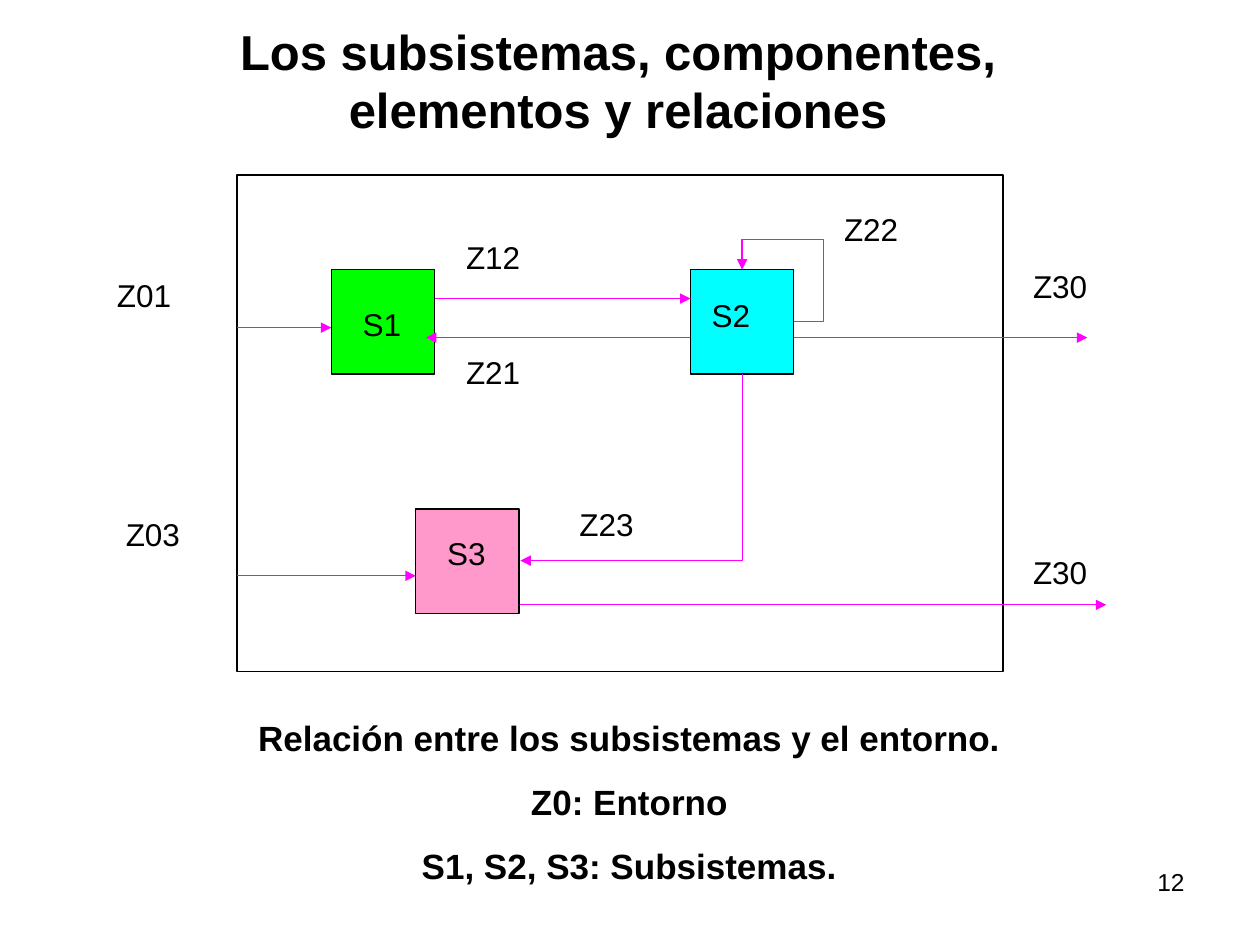
"""Builds a slide on subsystems, their relations and their environment."""
import pptx
import pptx.util
import pptx.dml.color
import pptx.enum.shapes
import pptx.enum.text
import pptx.oxml.ns
import lxml.etree

Inches, Pt = pptx.util.Inches, pptx.util.Pt
RGB = pptx.dml.color.RGBColor
KIND = pptx.enum.shapes.MSO_CONNECTOR
ALIGN = pptx.enum.text.PP_ALIGN

BLACK, WHITE = RGB(0, 0, 0), RGB(255, 255, 255)
GREEN, CYAN = RGB(0, 255, 0), RGB(0, 255, 255)
PINK, MAGENTA = RGB(255, 153, 204), RGB(255, 0, 255)

TITLE = "Los subsistemas, componentes, elementos y relaciones"
CAPTION = [
    "Relación entre los subsistemas y el entorno.",
    "Z0: Entorno",
    "S1, S2, S3: Subsistemas.",
]
FRAME = (1.88, 1.39, 6.08, 3.94)
SIZE = (0.82, 0.83)
NODES = {
    "S1": (2.63, 2.14, GREEN),
    "S2": (5.48, 2.14, CYAN),
    "S3": (3.3, 4.04, PINK),
}
FLOWS = [
    (5.48, 3.38, 2.68),
    (3.45, 5.48, 2.37),
    (6.3, 8.63, 2.68),
    (1.88, 2.63, 2.6),
    (1.88, 3.3, 4.57),
    (4.13, 8.78, 4.8),
]
LABELS = [
    ("Z01", 0.83, 2.14), ("Z03", 0.9, 4.04), ("Z12", 3.6, 1.84),
    ("Z21", 3.6, 2.75), ("Z23", 4.5, 3.96), ("Z22", 6.6, 1.62),
    ("Z30", 8.1, 2.07), ("Z30", 8.1, 4.34), ("S1", 2.78, 2.37),
    ("S2", 5.55, 2.3), ("S3", 3.45, 4.19),
]

deck = pptx.Presentation()
deck.slide_width, deck.slide_height = Inches(10), Inches(7.5)
slide = deck.slides.add_slide(deck.slide_layouts[5])
shapes = slide.shapes


def write(frame, lines, size, bold=False, align=ALIGN.LEFT, gap=0):
    frame.word_wrap = True
    for i, line in enumerate(lines):
        para = frame.add_paragraph() if i else frame.paragraphs[0]
        para.alignment, para.space_before = align, Pt(gap)
        run = para.add_run()
        run.text = line
        font = run.font
        font.name, font.size, font.bold = "Arial", Pt(size), bold
        font.color.rgb = BLACK


def text(box, lines, size, **style):
    area = shapes.add_textbox(*map(Inches, box))
    write(area.text_frame, lines, size, **style)


def block(box, fill):
    rect = shapes.add_shape(
        pptx.enum.shapes.MSO_SHAPE.RECTANGLE, *map(Inches, box))
    rect.shadow.inherit = False
    rect.fill.solid()
    rect.fill.fore_color.rgb = fill
    rect.line.color.rgb, rect.line.width = BLACK, Pt(0.75)
    return rect


def arrow(kind, *ends):
    link = shapes.add_connector(kind, *map(Inches, ends))
    link.line.color.rgb, link.line.width = MAGENTA, Pt(0.75)
    qn = pptx.oxml.ns.qn
    tip = lxml.etree.SubElement(link.line._get_or_add_ln(), qn("a:tailEnd"))
    tip.set("type", "triangle")
    lxml.etree.SubElement(link._element.spPr, qn("a:effectLst"))
    return link


def bend(link, preset, *adjust):
    geom = link._element.spPr.find(pptx.oxml.ns.qn("a:prstGeom"))
    geom.set("prst", preset)
    guides = geom.get_or_add_avLst()
    for i, value in enumerate(adjust, 1):
        guide = lxml.etree.SubElement(guides, pptx.oxml.ns.qn("a:gd"))
        guide.set("name", f"adj{i}")
        guide.set("fmla", f"val {round(value * 100000)}")


title = shapes.title
title.left, title.top, title.width, title.height = map(
    Inches, (0.83, 0.28, 8.15, 0.71))
title.text_frame.vertical_anchor = pptx.enum.text.MSO_ANCHOR.MIDDLE
write(title.text_frame, [TITLE], 28, bold=True, align=ALIGN.CENTER)

block(FRAME, WHITE)
nodes = {name: block((x, y, *SIZE), fill)
         for name, (x, y, fill) in NODES.items()}

for start, end, y in FLOWS:
    arrow(KIND.STRAIGHT, start, y, end, y)

down = arrow(KIND.ELBOW, 4.27, 2.83, 5.75, 4.59)
bend(down, "bentConnector2")
down._element.spPr.xfrm.set("rot", str(90 * 60000))

loop = arrow(KIND.ELBOW, 6.3, 2.56, 5.89, 2.14)
loop.begin_connect(nodes["S2"], 3)
loop.end_connect(nodes["S2"], 0)
bend(loop, "bentConnector4", -0.58, 1.58)

for name, x, y in LABELS:
    text((x, y, 0.68 if name[0] == "Z" else 0.6, 0.4), [name], 18)

text((1.06, 5.64, 7.87, 1.45), CAPTION, 20,
     bold=True, align=ALIGN.CENTER, gap=12.5)
text((7.17, 6.83, 2.33, 0.52), ["12"], 14, align=ALIGN.RIGHT)

deck.save("out.pptx")
